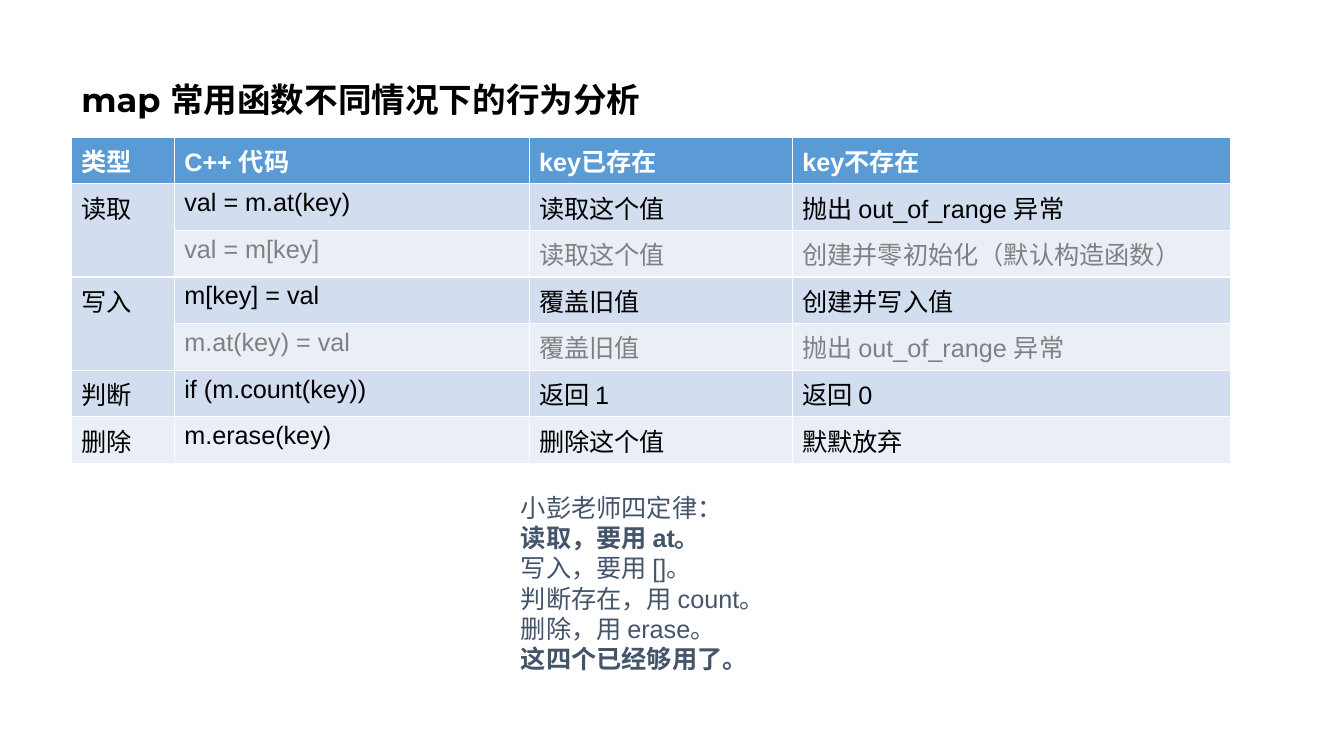
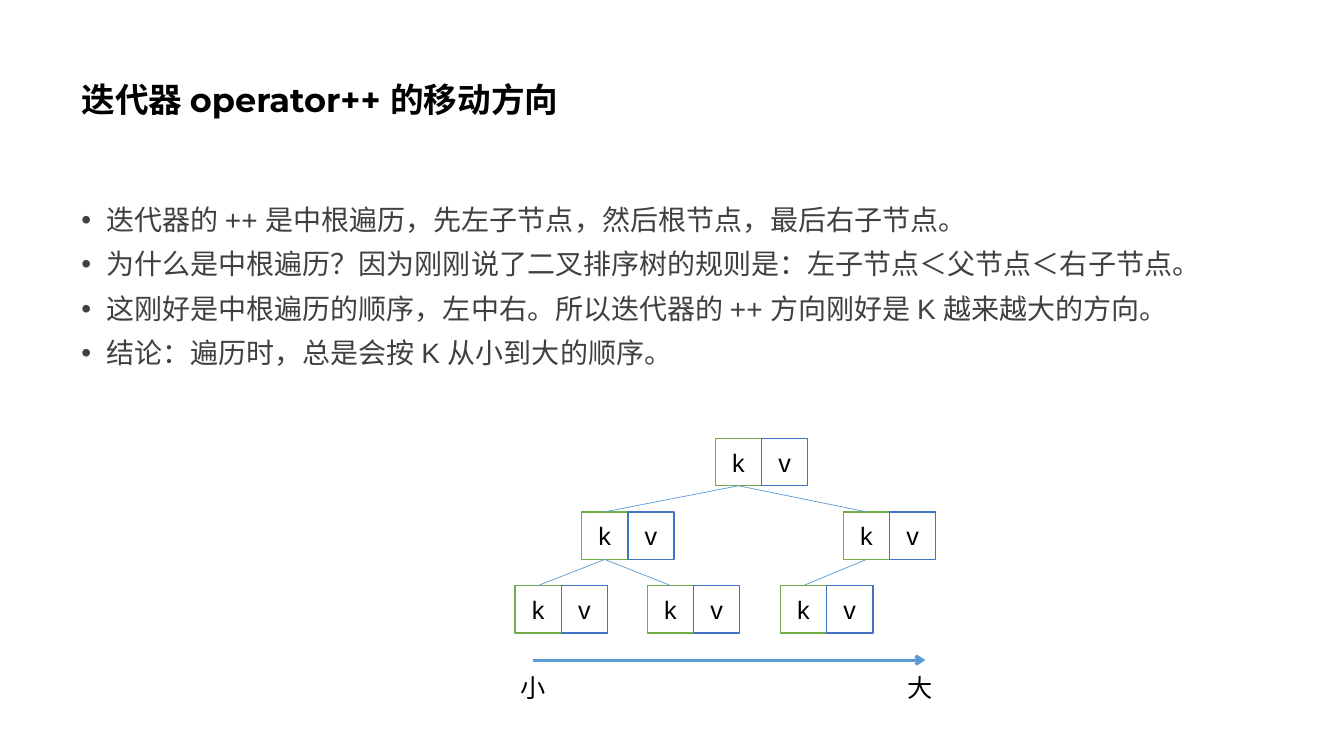
from lxml import etree
from pptx import Presentation
from pptx.dml.color import RGBColor
from pptx.enum.shapes import MSO_CONNECTOR as CONN, MSO_SHAPE as SHAPE
from pptx.enum.text import MSO_ANCHOR as ANCHOR, PP_ALIGN as ALIGN
from pptx.oxml.ns import qn
from pptx.util import Pt

BLACK = RGBColor(0x00, 0x00, 0x00)
WHITE = RGBColor(0xFF, 0xFF, 0xFF)
GREY = RGBColor(0x80, 0x80, 0x80)
DARK = RGBColor(0x40, 0x40, 0x40)
SLATE = RGBColor(0x44, 0x54, 0x6A)
BLUE = RGBColor(0x5B, 0x9B, 0xD5)
BAND_DARK = RGBColor(0xD2, 0xDE, 0xEF)
BAND_LIGHT = RGBColor(0xEA, 0xEF, 0xF7)
KEY_GREEN = RGBColor(0x70, 0xAD, 0x47)
VALUE_BLUE = RGBColor(0x44, 0x72, 0xC4)

LEFT, WIDTH = 51, 828


def write(p, text, color, size=18, bold=False, font="Arial"):
    p.text = text
    for r in p.runs:
        r.font.name, r.font.size, r.font.bold = font, Pt(size), bold
        r.font.color.rgb = color


def style_line(line, width):
    line.line.color.rgb = BLUE
    line.line.width = Pt(width)
    etree.SubElement(line._element.spPr, qn("a:effectLst"))


prs = Presentation()
prs.slide_width, prs.slide_height = Pt(960), Pt(540)

# Slides with their titles
slides = []
for text in ("map 常用函数不同情况下的行为分析", "迭代器 operator++ 的移动方向"):
    s = prs.slides.add_slide(prs.slide_layouts[5])
    title = s.shapes.title
    title.left, title.top, title.width, title.height = Pt(LEFT), Pt(20), Pt(WIDTH), Pt(104.5)
    tf = title.text_frame
    tf.vertical_anchor = ANCHOR.MIDDLE
    p = tf.paragraphs[0]
    write(p, text, BLACK, 24, True, "Montserrat")
    p.alignment, p.line_spacing = ALIGN.LEFT, 0.9
    slides.append(s)
map_slide, iterator_slide = slides

# Table of map functions
rows = [
    ("类型", "C++ 代码", "key已存在", "key不存在"),
    ("读取", "val = m.at(key)", "读取这个值", "抛出 out_of_range 异常"),
    ("", "val = m[key]", "读取这个值", "创建并零初始化（默认构造函数）"),
    ("写入", "m[key] = val", "覆盖旧值", "创建并写入值"),
    ("", "m.at(key) = val", "覆盖旧值", "抛出 out_of_range 异常"),
    ("判断", "if (m.count(key))", "返回 1", "返回 0"),
    ("删除", "m.erase(key)", "删除这个值", "默默放弃"),
]
ROW_HEIGHT = 30
table = map_slide.shapes.add_table(len(rows), 4, Pt(LEFT), Pt(98), Pt(WIDTH),
                                   Pt(ROW_HEIGHT * len(rows))).table
table.horz_banding = False
for column, width in zip(table.columns, (73.5, 253.5, 188, 313)):
    column.width = Pt(width)
for i, row in enumerate(rows):
    table.rows[i].height = Pt(ROW_HEIGHT)
    header = i == 0
    discouraged = not row[0]
    color = WHITE if header else GREY if discouraged else BLACK
    for j, text in enumerate(row):
        cell = table.cell(i, j)
        cell.fill.solid()
        cell.fill.fore_color.rgb = BLUE if header else BAND_DARK if i % 2 else BAND_LIGHT
        write(cell.text_frame.paragraphs[0], text, color, bold=header)
    if discouraged:
        table.cell(i - 1, 0).merge(table.cell(i, 0))

# Four rules below the table
rules = [
    ("小彭老师四定律：", False),
    ("读取，要用 at。", True),
    ("写入，要用 []。", False),
    ("判断存在，用 count。", False),
    ("删除，用 erase。", False),
    ("这四个已经够用了。", True),
]
tf = map_slide.shapes.add_textbox(Pt(365), Pt(348), Pt(200), Pt(138)).text_frame
tf.word_wrap = True
for i, (text, bold) in enumerate(rules):
    p = tf.add_paragraph() if i else tf.paragraphs[0]
    write(p, text, SLATE, bold=bold)

# Bullets on the traversal order
bullets = [
    "迭代器的 ++ 是中根遍历，先左子节点，然后根节点，最后右子节点。",
    "为什么是中根遍历？因为刚刚说了二叉排序树的规则是：左子节点＜父节点＜右子节点。",
    "这刚好是中根遍历的顺序，左中右。所以迭代器的 ++ 方向刚好是 K 越来越大的方向。",
    "结论：遍历时，总是会按 K 从小到大的顺序。",
]
shapes = iterator_slide.shapes
tf = shapes.add_textbox(Pt(LEFT), Pt(144), Pt(WIDTH), Pt(130)).text_frame
tf.word_wrap = True
for i, text in enumerate(bullets):
    p = tf.add_paragraph() if i else tf.paragraphs[0]
    pPr = p._p.get_or_add_pPr()
    pPr.set("marL", str(Pt(18)))
    pPr.set("indent", str(Pt(-18)))
    etree.SubElement(pPr, qn("a:buFont")).set("typeface", "Arial")
    etree.SubElement(pPr, qn("a:buChar")).set("char", "•")
    write(p, text, DARK, 20)
    p.line_spacing = 0.9
    if i:
        p.space_before = Pt(10)

# Tree nodes: name, left edge, level, parent
nodes = [
    ("root", 511, 0, None),
    ("left", 415.5, 1, "root"),
    ("right", 602.5, 1, "root"),
    ("left-left", 368, 2, "left"),
    ("left-right", 462.5, 2, "left"),
    ("right-left", 557.5, 2, "right"),
]
CELL_W, CELL_H = 33, 34
TREE_TOP, LEVEL_STEP = 313, 52.6
keys = {}
for name, x, level, parent in nodes:
    y = TREE_TOP + level * LEVEL_STEP
    for j, (text, color) in enumerate((("k", KEY_GREEN), ("v", VALUE_BLUE))):
        sp = shapes.add_shape(SHAPE.RECTANGLE, Pt(x + j * CELL_W), Pt(y), Pt(CELL_W), Pt(CELL_H))
        sp.shadow.inherit = False
        sp.fill.solid()
        sp.fill.fore_color.rgb = WHITE
        sp.line.color.rgb = color
        sp.line.width = Pt(1)
        sp.text_frame.vertical_anchor = ANCHOR.MIDDLE
        p = sp.text_frame.paragraphs[0]
        write(p, text, BLACK)
        p.alignment = ALIGN.CENTER
        if text == "k":
            keys[name] = sp

# Branches from the bottom of a parent key to the top of its child
for name, x, level, parent in nodes:
    if parent:
        branch = shapes.add_connector(CONN.STRAIGHT, 0, 0, 0, 0)
        branch.begin_connect(keys[parent], 2)
        branch.end_connect(keys[name], 0)
        style_line(branch, 0.5)

# Arrow from small to large
arrow = shapes.add_connector(CONN.STRAIGHT, Pt(381), Pt(471.5), Pt(661), Pt(471.5))
style_line(arrow, 2.25)
etree.SubElement(arrow.line._get_or_add_ln(), qn("a:tailEnd")).set("type", "arrow")
for text, x in (("小", 365), ("大", 641.5)):
    tf = shapes.add_textbox(Pt(x), Pt(477), Pt(36), Pt(29)).text_frame
    tf.word_wrap = True
    write(tf.paragraphs[0], text, BLACK)

prs.save("out.pptx")
